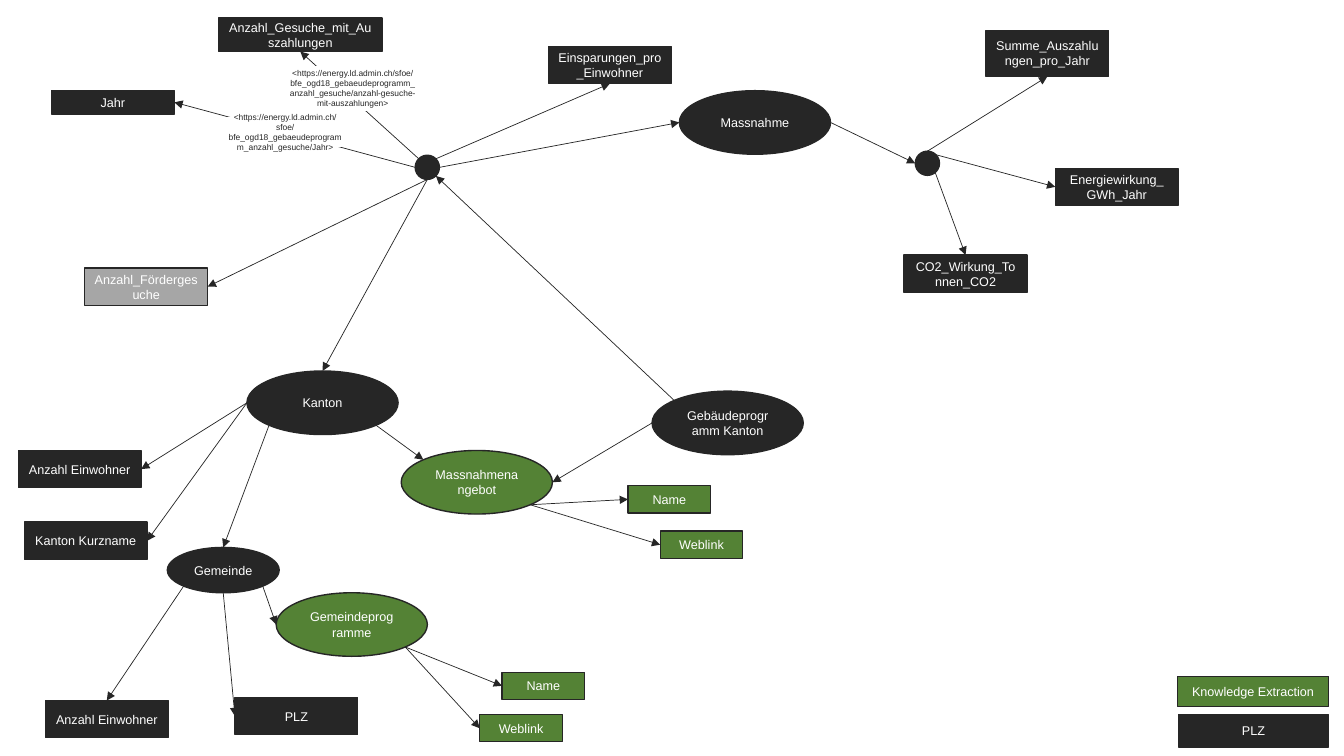
"""Build a slide with the entity graph of a building subsidy programme."""
from math import sqrt

from lxml import etree
from pptx import Presentation
from pptx.dml.color import RGBColor
from pptx.enum.shapes import MSO_CONNECTOR, MSO_SHAPE
from pptx.enum.text import MSO_ANCHOR, PP_ALIGN
from pptx.oxml.ns import qn
from pptx.util import Pt

RECTANGLE, ELLIPSE = MSO_SHAPE.RECTANGLE, MSO_SHAPE.OVAL
STRAIGHT = MSO_CONNECTOR.STRAIGHT
MIDDLE, CENTER = MSO_ANCHOR.MIDDLE, PP_ALIGN.CENTER

COLORS = {"dark": "262626", "green": "548235", "gray": "A6A6A6", "white": "FFFFFF"}
BOX, SMALL_BOX, OVAL, DOT = (87.8, 26.6), (59, 19.4), (108, 45.4), (17.3, 17.3)

DIAGONAL = sqrt(0.5)
DIRECTIONS = {
    "top": (0, -1), "left": (-1, 0), "bottom": (0, 1), "right": (1, 0),
    "top left": (-DIAGONAL, -DIAGONAL), "bottom left": (-DIAGONAL, DIAGONAL),
    "bottom right": (DIAGONAL, DIAGONAL), "top right": (DIAGONAL, -DIAGONAL),
}
SITES = {
    RECTANGLE: ["top", "left", "bottom", "right"],
    ELLIPSE: ["top", "top left", "left", "bottom left",
              "bottom", "bottom right", "right", "top right"],
}

ELLIPSES = {
    "subsidy": ("", 296.6, 110.9, DOT, "dark"),
    "effect": ("", 653.8, 108, DOT, "dark"),
    "canton programme": ("Gebäudeprogramm Kanton", 465.8, 279.4, OVAL, "dark"),
    "measure": ("Massnahme", 485.3, 64.8, OVAL, "dark"),
    "canton": ("Kanton", 176.4, 265, OVAL, "dark"),
    "municipality": ("Gemeinde", 119.5, 391, (79.9, 32.4), "dark"),
    "municipal programmes": ("Gemeindeprogramme", 197.3, 423.4, OVAL, "green"),
    "measures offered": ("Massnahmenangebot", 286.6, 321.8, OVAL, "green"),
}
RECTANGLES = {
    "year": ("Jahr", 36.7, 64.8, (87.8, 16.6), "dark"),
    "paid requests": ("Anzahl_Gesuche_mit_Auszahlungen", 156.2, 13, (116.6, 23.8), "dark"),
    "payments": ("Summe_Auszahlungen_pro_Jahr", 704.2, 21.6, (87.8, 33.1), "dark"),
    "savings": ("Einsparungen_pro_Einwohner", 391.7, 33.1, BOX, "dark"),
    "energy effect": ("Energiewirkung_GWh_Jahr", 753.8, 120.2, BOX, "dark"),
    "CO2 effect": ("CO2_Wirkung_Tonnen_CO2", 645.8, 182.2, BOX, "dark"),
    "requests": ("Anzahl_Fördergesuche", 60.5, 191.5, BOX, "gray"),
    "canton population": ("Anzahl Einwohner", 13, 321.8, BOX, "dark"),
    "canton code": ("Kanton Kurzname", 17.3, 373, BOX, "dark"),
    "municipal population": ("Anzahl Einwohner", 32.4, 500.4, BOX, "dark"),
    "postcode": ("PLZ", 167.8, 498.2, BOX, "dark"),
    "offer name": ("Name", 448.6, 347, SMALL_BOX, "green"),
    "offer link": ("Weblink", 471.6, 379.4, SMALL_BOX, "green"),
    "programme name": ("Name", 358.6, 480.2, SMALL_BOX, "green"),
    "programme link": ("Weblink", 342.7, 510.5, SMALL_BOX, "green"),
    "extraction legend": ("Knowledge Extraction", 841, 483.1, (108, 21.6), "green"),
    "postcode legend": ("PLZ", 841.7, 510.5, (107.3, 23), "dark"),
}
ARROWS = [
    ("subsidy", "left", "year", "right"),
    ("subsidy", "top left", "paid requests", "bottom"),
    ("subsidy", "top right", "savings", "bottom"),
    ("subsidy", "right", "measure", "left"),
    ("subsidy", "bottom", "requests", "right"),
    ("subsidy", "bottom", "canton", "top"),
    ("measure", "right", "effect", "left"),
    ("effect", "top", "payments", "bottom"),
    ("effect", "top right", "energy effect", "left"),
    ("effect", "top", "CO2 effect", "top"),
    ("canton programme", "top left", "subsidy", "bottom right"),
    ("canton programme", "left", "measures offered", "right"),
    ("canton", "left", "canton population", "right"),
    ("canton", "left", "canton code", "right"),
    ("canton", "bottom left", "municipality", "top"),
    ("canton", "bottom right", "measures offered", "top left"),
    ("municipality", "bottom left", "municipal population", "top"),
    ("municipality", "bottom", "postcode", "left"),
    ("municipality", "bottom right", "municipal programmes", "left"),
    ("measures offered", "bottom right", "offer name", "left"),
    ("measures offered", "bottom right", "offer link", "left"),
    ("municipal programmes", "bottom right", "programme name", "left"),
    ("municipal programmes", "bottom right", "programme link", "left"),
]
DATASET = "<https://energy.ld.admin.ch/sfoe/bfe_ogd18_gebaeudeprogramm_anzahl_gesuche/"
PROPERTY_LABELS = [
    (DATASET + "Jahr>", 156.2, 84.2, (95, 20.2)),
    (DATASET + "anzahl-gesuche-mit-auszahlungen>", 199.4, 47.5, (105.1, 31)),
]


class GraphSlide:
    """Draw styled nodes and arrows on one slide."""

    def __init__(self, slide, font="Arial"):
        """Keep the slide and the font."""
        self.slide = slide
        self.font = font

    def color(self, name):
        """Return a named colour."""
        return RGBColor.from_string(COLORS[name])

    def node(self, kind, text, left, top, size, fill, line="dark", ink="white", points=9):
        """Add a filled shape with centred text."""
        shape = self.slide.shapes.add_shape(kind, Pt(left), Pt(top), *map(Pt, size))
        shape.shadow.inherit = False
        shape.fill.solid()
        shape.fill.fore_color.rgb = self.color(fill)
        shape.line.color.rgb = self.color(line)
        shape.line.width = Pt(1)
        if text:
            frame = shape.text_frame
            frame.text = text
            frame.word_wrap = True
            frame.vertical_anchor = MIDDLE
            paragraph = frame.paragraphs[0]
            paragraph.alignment = CENTER
            paragraph.font.name = self.font
            paragraph.font.size = Pt(points)
            paragraph.font.color.rgb = self.color(ink)
        return shape

    def site(self, shape, side):
        """Return the position of a connection site."""
        across, down = DIRECTIONS[side]
        return (int(shape.left + shape.width * (1 + across) / 2),
                int(shape.top + shape.height * (1 + down) / 2))

    def arrow(self, source, source_side, target, target_side):
        """Add an arrow attached to a site of each shape."""
        connector = self.slide.shapes.add_connector(
            STRAIGHT, *self.site(source, source_side), *self.site(target, target_side))
        connector.line.color.rgb = self.color("dark")
        connector.line.width = Pt(0.5)
        properties = connector.element.spPr
        etree.SubElement(properties.find(qn("a:ln")), qn("a:tailEnd"), type="triangle")
        etree.SubElement(properties, qn("a:effectLst"))
        attachment = connector.element.find(".//" + qn("p:cNvCxnSpPr"))
        for tag, shape, side in (("a:stCxn", source, source_side),
                                 ("a:endCxn", target, target_side)):
            index = SITES[shape.auto_shape_type].index(side)
            etree.SubElement(attachment, qn(tag), id=str(shape.shape_id), idx=str(index))


def main():
    """Build and save the presentation."""
    presentation = Presentation()
    presentation.slide_width, presentation.slide_height = Pt(960), Pt(540)
    graph = GraphSlide(presentation.slides.add_slide(presentation.slide_layouts[6]))
    nodes = {}
    for kind, group in ((ELLIPSE, ELLIPSES), (RECTANGLE, RECTANGLES)):
        for name, values in group.items():
            nodes[name] = graph.node(kind, *values)
    for source, source_side, target, target_side in ARROWS:
        graph.arrow(nodes[source], source_side, nodes[target], target_side)
    for label in PROPERTY_LABELS:
        graph.node(RECTANGLE, *label, "white", line="white", ink="dark", points=6)
    presentation.save("out.pptx")


main()
